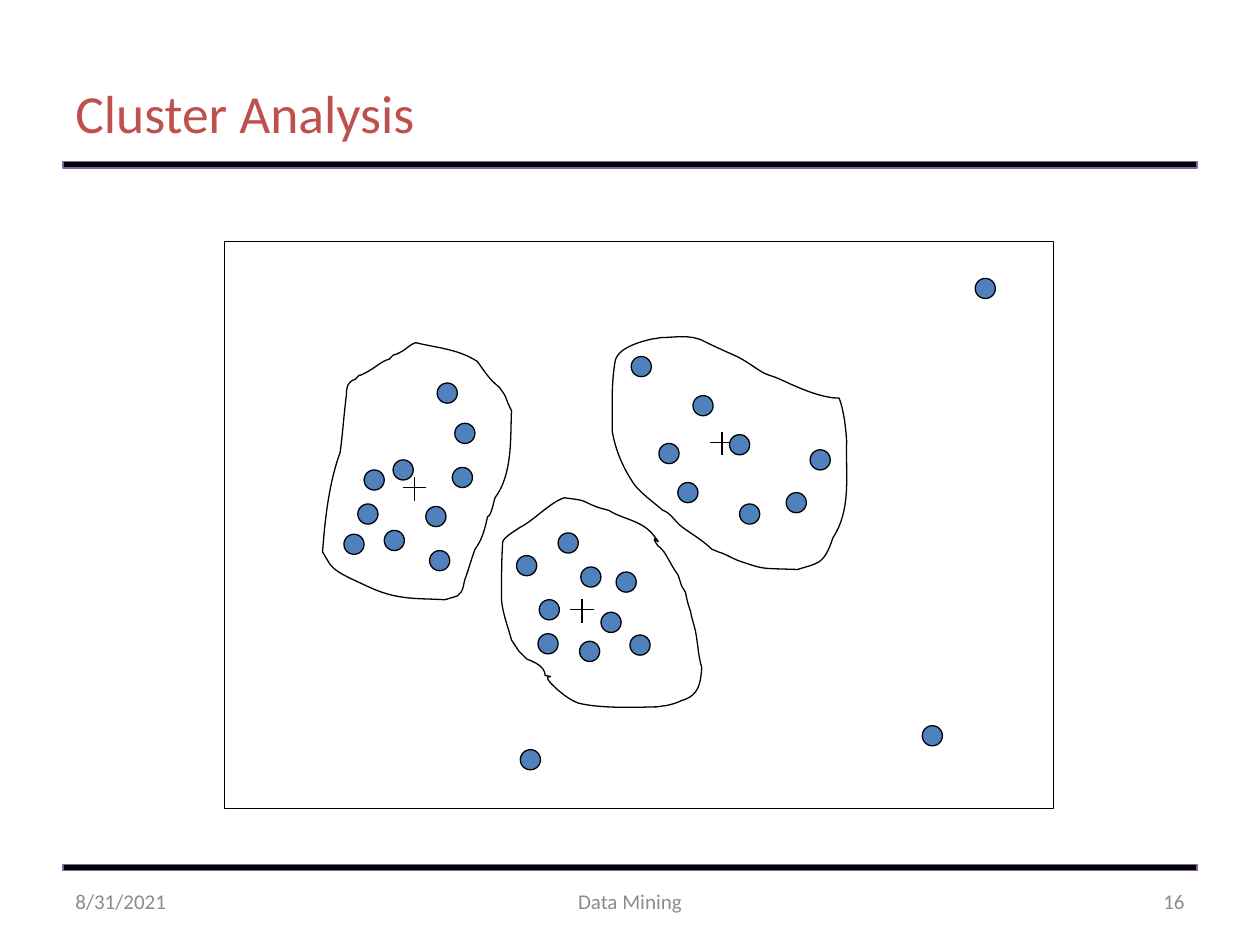
from dataclasses import dataclass

import lxml.etree
import pptx
import pptx.dml.color
import pptx.enum.shapes
import pptx.enum.text
import pptx.oxml.ns
import pptx.shapes.autoshape
import pptx.shapes.shapetree
import pptx.util

Pt = pptx.util.Pt
RGB = pptx.dml.color.RGBColor
SHAPE = pptx.enum.shapes.MSO_SHAPE
ALIGN = pptx.enum.text.PP_ALIGN
Shapes = pptx.shapes.shapetree.SlideShapes
qn = pptx.oxml.ns.qn

UNIT = 0.72  # points in one unit of the diagram grid
DOT_SIZE = 16  # grid units


@dataclass(frozen=True)
class Theme:
    font: str = "Calibri"
    title_size: float = 30.6
    footer_size: float = 12
    line_width: float = 0.75
    title: RGB = RGB(0xC0, 0x50, 0x4D)
    footer: RGB = RGB(0x8C, 0x8C, 0x8C)
    ink: RGB = RGB(0, 0, 0)
    rule_edge: RGB = RGB(0x80, 0x64, 0xA2)
    dot: RGB = RGB(0x4F, 0x81, 0xBD)


@dataclass(frozen=True)
class Label:
    text: str
    box: tuple[float, float, float, float]  # left, top, width, height in points
    size: float
    color: RGB
    align: ALIGN = ALIGN.LEFT


@dataclass(frozen=True)
class Cluster:
    centroid: tuple[int, int]
    dots: list[tuple[int, int]]  # left and top of each dot
    start: tuple[int, int]
    curves: list[tuple[int, ...]]  # two control points and an end point


THEME = Theme()

LABELS = [
    Label("Cluster Analysis", (36, 44.2, 648, 39.6), THEME.title_size, THEME.title),
    Label("8/31/2021", (36, 500.4, 168, 28.8), THEME.footer_size, THEME.footer),
    Label("Data Mining", (246, 500.4, 228, 28.8), THEME.footer_size, THEME.footer, ALIGN.CENTER),
    Label("16", (516, 500.4, 168, 28.8), THEME.footer_size, THEME.footer, ALIGN.RIGHT),
]

OUTLIERS = [(732, 576), (413, 595), (774, 221)]

RIGHT_CLUSTER = Cluster(
    (573, 351),
    [(550, 314), (538, 383), (579, 345), (523, 352), (643, 357), (624, 391), (587, 400),
     (501, 283)],
    (666, 316),
    [(670, 327, 671, 338, 672, 350), (671, 377, 676, 404, 661, 427),
     (659, 433, 656, 442, 650, 446), (645, 449, 639, 450, 633, 452),
     (603, 451, 607, 452, 589, 446), (582, 444, 577, 440, 570, 438),
     (568, 437, 565, 436, 565, 436), (558, 429, 549, 424, 541, 418),
     (535, 413, 532, 407, 526, 405), (519, 399, 508, 391, 503, 384),
     (495, 372, 489, 359, 486, 343), (486, 325, 485, 306, 488, 288),
     (489, 276, 509, 271, 518, 269), (520, 269, 524, 268, 524, 268),
     (535, 268, 548, 265, 559, 271), (567, 275, 576, 279, 585, 283),
     (593, 287, 599, 292, 606, 296), (610, 298, 615, 299, 619, 301),
     (632, 307, 651, 316, 666, 316)],
)

MIDDLE_CLUSTER = Cluster(
    (462, 484),
    [(410, 441), (460, 509), (477, 486), (428, 476), (427, 503), (443, 423), (461, 450),
     (489, 454), (500, 504)],
    (437, 537),
    [(429, 535, 435, 538, 431, 531), (428, 527, 423, 525, 418, 523),
     (416, 521, 414, 519, 412, 517), (410, 514, 406, 508, 406, 508),
     (403, 497, 399, 487, 398, 476), (398, 461, 398, 445, 399, 430),
     (400, 426, 411, 420, 412, 419), (424, 413, 436, 399, 448, 395),
     (452, 396, 461, 396, 466, 399), (472, 402, 475, 403, 483, 405),
     (494, 412, 509, 413, 518, 424), (530, 439, 513, 419, 522, 433),
     (524, 435, 526, 436, 527, 438), (531, 444, 534, 451, 538, 456),
     (542, 467, 539, 462, 544, 470), (545, 475, 546, 480, 548, 485),
     (549, 491, 551, 496, 552, 501), (554, 511, 554, 520, 557, 530),
     (556, 542, 555, 552, 541, 556), (537, 558, 533, 559, 529, 560),
     (527, 560, 522, 561, 522, 561), (514, 561, 478, 563, 459, 558),
     (453, 556, 445, 550, 440, 545), (438, 543, 431, 537, 437, 537)],
)

LEFT_CLUSTER = Cluster(
    (329, 387),
    [(305, 421), (284, 400), (338, 402), (312, 365), (273, 424), (289, 373), (341, 437),
     (359, 371), (361, 336), (347, 304)],
    (387, 410),
    [(385, 419, 383, 428, 377, 436), (374, 444, 372, 452, 369, 460),
     (368, 463, 368, 467, 366, 470), (365, 471, 364, 472, 363, 473),
     (360, 474, 353, 476, 353, 476), (338, 475, 322, 476, 306, 471),
     (296, 468, 287, 463, 278, 459), (272, 456, 266, 453, 262, 448),
     (260, 445, 256, 438, 256, 438), (258, 412, 261, 384, 270, 359),
     (272, 344, 273, 329, 275, 313), (275, 307, 276, 303, 282, 301),
     (289, 294, 281, 301, 290, 296), (298, 292, 302, 287, 309, 285),
     (315, 279, 309, 284, 317, 280), (322, 278, 324, 274, 330, 272),
     (346, 276, 364, 277, 379, 287), (384, 294, 389, 302, 396, 307),
     (398, 310, 401, 313, 402, 317), (403, 320, 406, 326, 406, 326),
     (405, 348, 407, 376, 393, 395), (392, 397, 390, 410, 387, 410)],
)


def grid(*values: float) -> list[pptx.util.Length]:
    return [Pt(value * UNIT) for value in values]


def style(shape: pptx.shapes.autoshape.Shape, fill: RGB | None, edge: RGB) -> None:
    shape.shadow.inherit = False
    if fill is None:
        shape.fill.background()
    else:
        shape.fill.solid()
        shape.fill.fore_color.rgb = fill
    shape.line.color.rgb = edge
    shape.line.width = Pt(THEME.line_width)


def draw_label(shapes: Shapes, label: Label) -> None:
    frame = shapes.add_textbox(*map(Pt, label.box)).text_frame
    frame.word_wrap = True
    frame.vertical_anchor = pptx.enum.text.MSO_ANCHOR.MIDDLE
    paragraph = frame.paragraphs[0]
    paragraph.text = label.text
    paragraph.alignment = label.align
    paragraph.font.name = THEME.font
    paragraph.font.size = Pt(label.size)
    paragraph.font.color.rgb = label.color


def draw_dot(shapes: Shapes, left: int, top: int) -> None:
    dot = shapes.add_shape(SHAPE.FLOWCHART_CONNECTOR, *grid(left, top, DOT_SIZE, DOT_SIZE))
    style(dot, THEME.dot, THEME.ink)


def draw_centroid(shapes: Shapes, x: int, y: int) -> None:
    for ends in ((x - 9.5, y, x + 9.5, y), (x, y + 10.5, x, y - 8.5)):
        stroke = shapes.add_connector(pptx.enum.shapes.MSO_CONNECTOR.STRAIGHT, *grid(*ends))
        stroke.line.color.rgb = THEME.ink
        stroke.line.width = Pt(THEME.line_width)
        lxml.etree.SubElement(stroke._element.spPr, qn("a:effectLst"))


def draw_outline(shapes: Shapes, cluster: Cluster) -> None:
    points = [
        tuple(grid(*curve[i : i + 2])) for curve in cluster.curves for i in (0, 2, 4)
    ]
    builder = shapes.build_freeform(*grid(*cluster.start))
    builder.add_line_segments(points, close=True)
    outline = builder.convert_to_shape()
    style(outline, None, THEME.ink)

    # Turn every three line segments into one cubic curve
    segments = list(outline._element.iter(qn("a:lnTo")))
    for first, second, third in zip(segments[::3], segments[1::3], segments[2::3]):
        bezier = lxml.etree.Element(qn("a:cubicBezTo"))
        first.addprevious(bezier)
        for segment in (first, second, third):
            bezier.append(segment[0])
            segment.getparent().remove(segment)


def draw_cluster(shapes: Shapes, cluster: Cluster) -> None:
    draw_centroid(shapes, *cluster.centroid)
    for dot in cluster.dots:
        draw_dot(shapes, *dot)
    draw_outline(shapes, cluster)


def main() -> None:
    deck = pptx.Presentation()
    deck.slide_width, deck.slide_height = Pt(720), Pt(540)
    shapes = deck.slides.add_slide(deck.slide_layouts[6]).shapes

    # Rules below the title and above the footer
    for top in (92.4, 493.92):
        rule = shapes.add_shape(SHAPE.RECTANGLE, Pt(36), Pt(top), Pt(648), Pt(3.6))
        style(rule, THEME.ink, THEME.rule_edge)

    # Title and footer
    for label in LABELS:
        draw_label(shapes, label)

    # Cluster diagram
    plot_frame = shapes.add_shape(SHAPE.RECTANGLE, *grid(178.4, 191.7, 658, 450))
    style(plot_frame, None, THEME.ink)
    for outlier in OUTLIERS:
        draw_dot(shapes, *outlier)
    for cluster in (RIGHT_CLUSTER, MIDDLE_CLUSTER, LEFT_CLUSTER):
        draw_cluster(shapes, cluster)

    deck.save("out.pptx")


if __name__ == "__main__":
    main()
